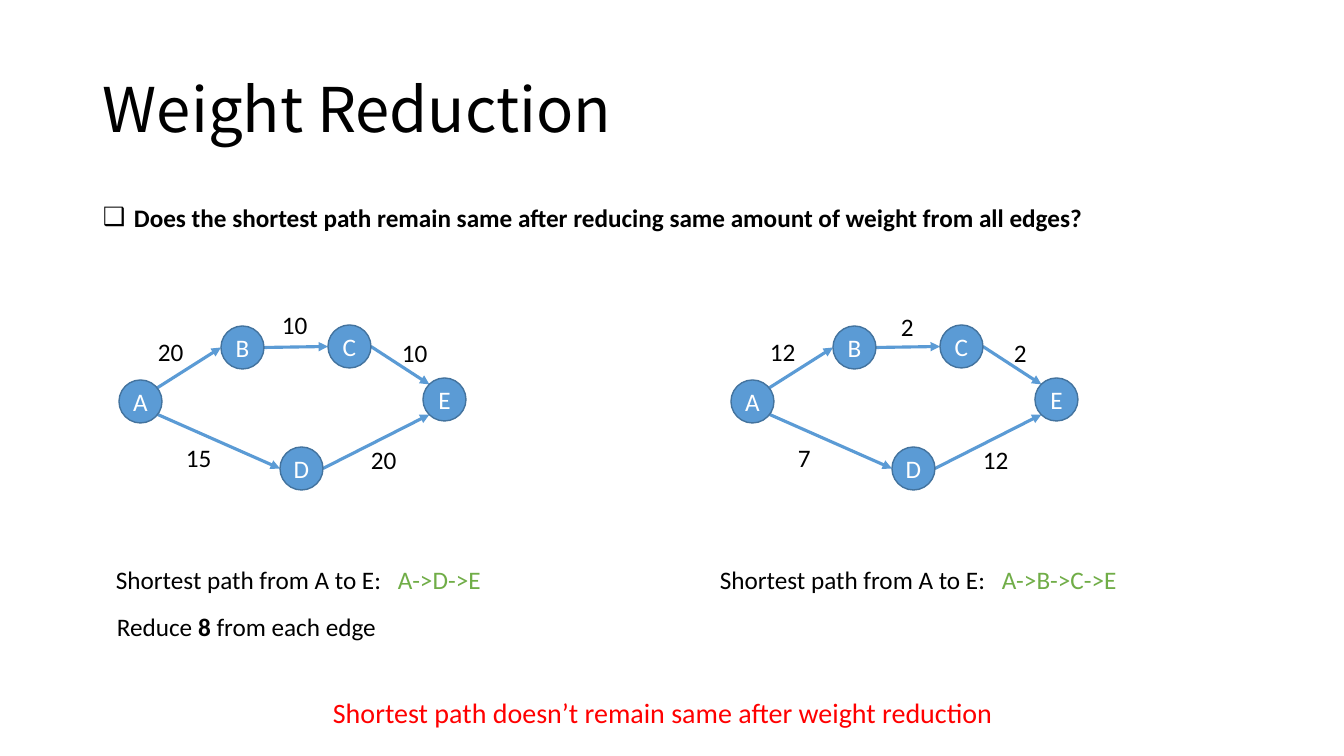
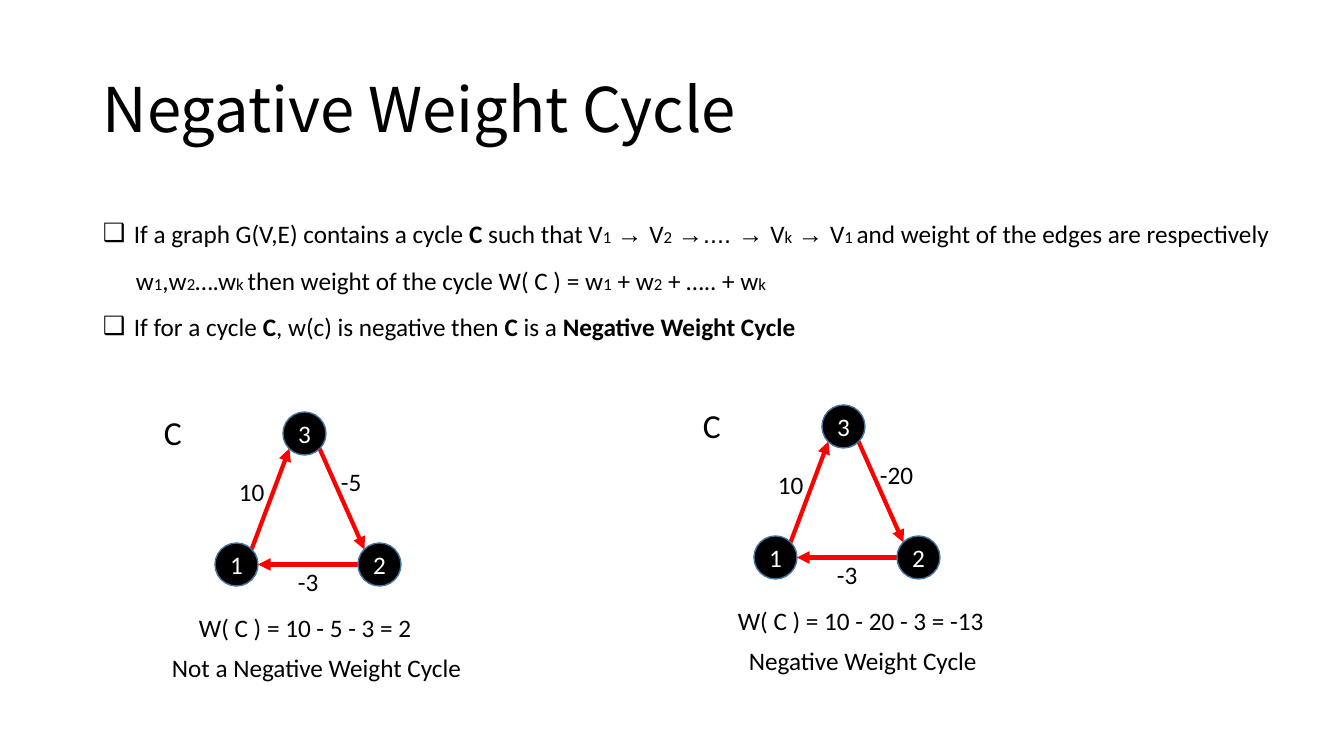
from pptx import Presentation
from pptx import util as u
from pptx.dml import color
from pptx.enum import shapes, text
from pptx.oxml import ns
from lxml import etree

SCALE = 914400 / 100.8
BODY, HEAD = "Calibri", "Noto Sans CJK SC"
BLACK, WHITE, RED, GREEN = "000000", "FFFFFF", "FF0000", "70AD47"
BLUE, OUTLINE = "5B9BD5", "43739E"
BOLD, SUB, ARROW = {"bold": True}, {"size": 12}, {"font": "Arial"}
NODE = 43
LINE_HEIGHT = 40

# Points on a node where edges meet it, as fractions of its size
SITES = {"inside": (0.5, 0.43), "low": (0.69, 0.71), "left": (0, 0.5),
         "right": (1, 0.5), "tl": (0.15, 0.15), "tr": (0.85, 0.15),
         "bl": (0.15, 0.85), "br": (0.85, 0.85)}

# Edge: start node and site, end node and site, label position
PATH_NODES = {"A": (0, 76), "B": (102, 22), "C": (209, 21),
              "E": (304, 74), "D": (161, 143)}
PATH_EDGES = {"AB": ("inside", "left", 29, 27),
              "BC": ("right", "left", 153, 0),
              "CE": ("right", "tl", 273, 28),
              "AD": ("low", "left", 57, 133),
              "DE": ("right", "bl", 242, 135)}
CYCLE_NODES = {"1": (61, 136), "3": (129, 5), "2": (204, 136)}
CYCLE_EDGES = {"13": ("tr", "bl", 75, 64),
               "32": ("br", "tl", 177, 54),
               "21": ("left", "right", 134, 154)}


def px(*lengths):
    """Turn pixel lengths into EMU."""
    return [u.Emu(round(length * SCALE)) for length in lengths]


def rgb(code):
    """Turn a hex string into a colour."""
    return color.RGBColor.from_string(code)


def style(run, size=18, font=BODY, ink=BLACK, bold=False):
    """Format one run."""
    run.font.size = u.Pt(size)
    run.font.name = font
    run.font.bold = bold
    run.font.color.rgb = rgb(ink)


def write(slide, x, y, w, parts, h=LINE_HEIGHT, **base):
    """Place one line of text; a part is a string or (string, style changes)."""
    box = slide.shapes.add_textbox(*px(x, y, w, h))
    box.text_frame.word_wrap = False
    line = box.text_frame.paragraphs[0]
    for part in [parts] if isinstance(parts, str) else parts:
        words, changes = (part, {}) if isinstance(part, str) else part
        run = line.add_run()
        run.text = words
        style(run, **{**base, **changes})
    return box


def add_title(slide, words):
    """Write the slide title."""
    frame = write(slide, 93, 40, 1159, words, h=146, size=44, font=HEAD).text_frame
    frame.word_wrap = True
    frame.vertical_anchor = text.MSO_ANCHOR.MIDDLE
    frame.paragraphs[0].line_spacing = 0.9


def add_bullet(slide, y, w, parts):
    """Write a line with a square bullet and a hanging indent."""
    line = write(slide, 93, y, w, parts).text_frame.paragraphs[0]
    props = line._p.get_or_add_pPr()
    indent = px(31)[0]
    props.set("marL", str(indent))
    props.set("indent", str(-indent))
    etree.SubElement(props, ns.qn("a:buFont")).set("typeface", "Arial")
    etree.SubElement(props, ns.qn("a:buChar")).set("char", "❑")


def add_answer(slide, x, y, w, route):
    """State the shortest path, with the route at a tab stop."""
    line = write(slide, x, y, w, ["Shortest path from A to E:\t",
                                  (route, {"ink": GREEN})]).text_frame.paragraphs[0]
    stops = etree.SubElement(line._p.get_or_add_pPr(), ns.qn("a:tabLst"))
    stop = etree.SubElement(stops, ns.qn("a:tab"))
    stop.set("pos", str(px(282)[0]))
    stop.set("algn", "l")


def add_edge(slide, start, end, ink, weight):
    """Draw an arrow from start to end."""
    edge = slide.shapes.add_connector(shapes.MSO_CONNECTOR.STRAIGHT,
                                      *px(*start, *end))
    edge.line.color.rgb = rgb(ink)
    edge.line.width = u.Pt(weight)
    props = edge.element.spPr
    head = etree.SubElement(props.find(ns.qn("a:ln")), ns.qn("a:tailEnd"))
    head.set("type", "triangle")
    etree.SubElement(props, ns.qn("a:effectLst"))


def add_node(slide, x, y, name, fill):
    """Draw a named round node."""
    node = slide.shapes.add_shape(shapes.MSO_SHAPE.OVAL, *px(x, y, NODE, NODE))
    node.shadow.inherit = False
    node.fill.solid()
    node.fill.fore_color.rgb = rgb(fill)
    node.line.color.rgb = rgb(OUTLINE)
    node.line.width = u.Pt(1)
    frame = node.text_frame
    frame.margin_left = frame.margin_right = frame.margin_top = frame.margin_bottom = 0
    frame.word_wrap = False
    frame.vertical_anchor = text.MSO_ANCHOR.MIDDLE
    frame.text = name
    frame.paragraphs[0].alignment = text.PP_ALIGN.CENTER
    style(frame.paragraphs[0].runs[0], ink=WHITE)


def add_graph(slide, x, y, nodes, edges, costs, fill, ink, weight, nudge=None):
    """Draw a weighted graph in the box whose corner is x, y."""
    def meet(name, site):
        """Find where an edge meets a node."""
        return [origin + offset + NODE * part for origin, offset, part
                in zip((x, y), nodes[name], SITES[site])]

    for (start, end), (leave, arrive, _, _) in edges.items():
        add_edge(slide, meet(start, leave), meet(end, arrive), ink, weight)
    for name, (left, top) in nodes.items():
        add_node(slide, x + left, y + top, name, fill)
    for (key, (_, _, left, top)), cost in zip(edges.items(), costs):
        dx, dy = (nudge or {}).get(key, (0, 0))
        width = 20 + sum(8 if sign == "-" else 13 for sign in cost)
        write(slide, x + left + dx, y + top + dy, width, cost)


def add_cycle(slide, x, y, costs, total, verdict):
    """Draw a cycle with its name, total and verdict; both are (text, left, width)."""
    add_graph(slide, x, y, CYCLE_NODES, CYCLE_EDGES, costs, BLACK, RED, 3)
    write(slide, x, y, 46, "C", h=50, size=24)
    for (words, left, width), top in zip((total, verdict), (200, 240)):
        write(slide, x + left, y + top, width, words)


def weight_reduction(slide):
    """Compare shortest paths before and after reducing the weights."""
    add_title(slide, "Weight Reduction")
    add_bullet(slide, 197, 1009, [("Does the shortest path remain same after reducing "
                                   "same amount of weight from all edges?", BOLD)])
    for x, costs, nudge in (
            (119, ("20", "10", "10", "15", "20"), None),
            (731, ("12", "2", "2", "7", "12"), {"BC": (7, 2)})):
        add_graph(slide, x, 304, PATH_NODES, PATH_EDGES, costs, BLUE, BLUE, 2.25, nudge)
    add_answer(slide, 106, 559, 390, "A->D->E")
    add_answer(slide, 710, 559, 424, "A->B->C->E")
    write(slide, 107, 606, 283, ["Reduce ", ("8 ", BOLD), "from each edge"])
    write(slide, 323, 691, 701, "Shortest path doesn’t remain same after weight reduction",
          h=44, size=20, ink=RED)


def negative_cycle(slide):
    """Define a negative weight cycle and show two cycles."""
    add_title(slide, "Negative Weight Cycle")
    add_bullet(slide, 213, 1194, [
        "If a graph G(V,E) contains a cycle ", ("C ", BOLD), "such that V", ("1", SUB),
        " ", ("→ ", ARROW), "V", ("2", SUB), " ", ("→.... → ", ARROW), "V", ("k", SUB),
        " ", ("→ ", ARROW), "V", ("1 ", SUB), "and weight of the edges are respectively"])
    write(slide, 126, 260, 657, [
        "w", ("1", SUB), ",w", ("2", SUB), "….w", ("k ", SUB),
        "then weight of the cycle W( C ) = w", ("1", SUB), " + w", ("2", SUB),
        " + ….. + w", ("k ", SUB)])
    add_bullet(slide, 306, 722, [
        "If for a cycle ", ("C", BOLD), ", w(c) is negative then ", ("C ", BOLD),
        "is a ", ("Negative Weight Cycle", BOLD)])
    add_cycle(slide, 154, 407, ("10", "-5", "-3"),
              ("W( C ) = 10 - 5 - 3 = 2", 35, 236),
              ("Not a Negative Weight Cycle", 8, 313))
    add_cycle(slide, 693, 400, ("10", "-20", "-3"),
              ("W( C ) = 10 - 20 - 3 = -13", 35, 269),
              ("Negative Weight Cycle", 46, 251))


deck = Presentation()
deck.slide_width, deck.slide_height = px(1344, 756)
for build in (weight_reduction, negative_cycle):
    build(deck.slides.add_slide(deck.slide_layouts[6]))
deck.save("out.pptx")
